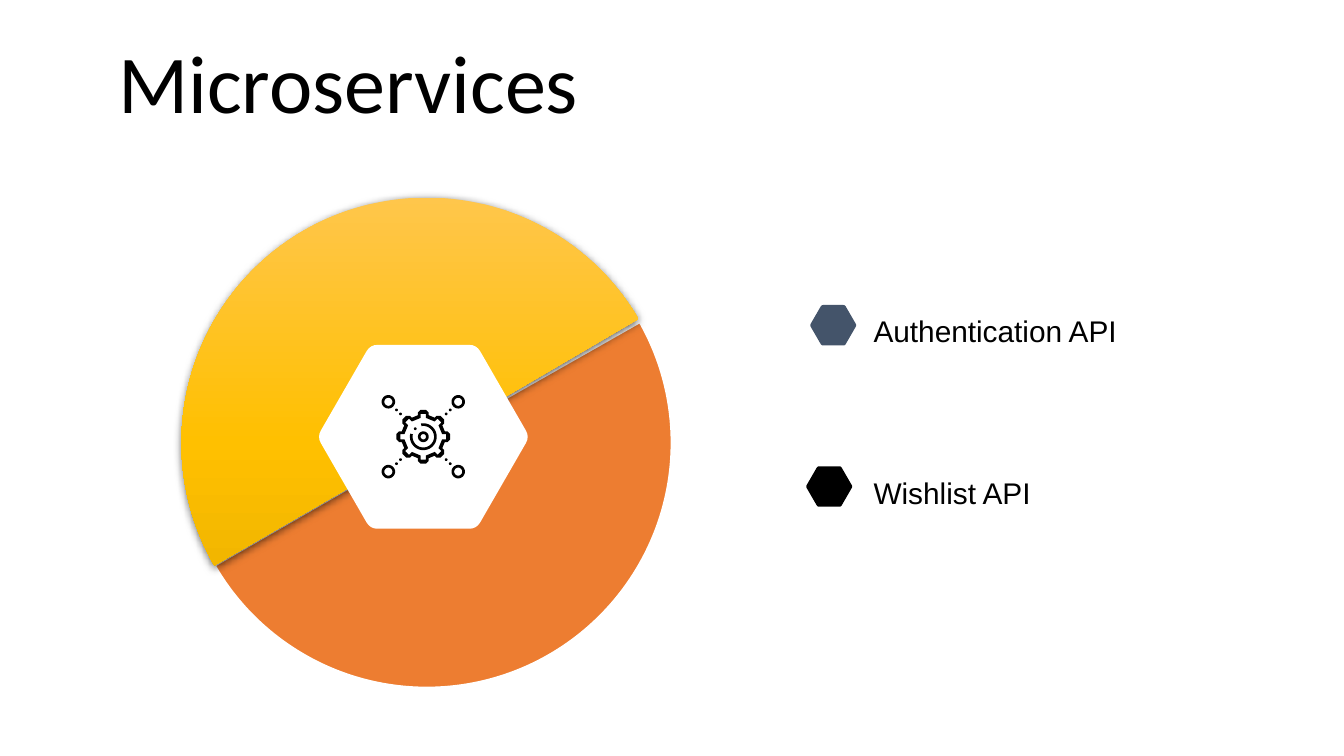
import copy
import math

import pptx
import pptx.dml.color
import pptx.enum.shapes
import pptx.oxml
import pptx.oxml.ns
import pptx.util


def colour(code):
    return pptx.dml.color.RGBColor.from_string(code)


def write(frame, text, size, font, color="000000", leading=1.0, after=0):
    para = frame.paragraphs[0]
    para.line_spacing = leading
    para.space_after = pptx.util.Pt(after)
    span = para.add_run()
    span.text = text
    span.font.size = pptx.util.Pt(size)
    span.font.name = font
    span.font.color.rgb = colour(color)


def arc(center, radius, start=0, end=360, steps=36):
    angles = [math.radians(start + (end - start) * i / steps) for i in range(steps + 1)]
    return [(center[0] + radius * math.cos(a), center[1] + radius * math.sin(a)) for a in angles]


def ring(center, outer, inner):
    return [arc(center, outer), arc(center, inner)]


def rounded_hexagon(center, radius, cut=0.07):
    corners = arc(center, radius, 30, 390, 6)[:-1]
    points = []
    for i, corner in enumerate(corners):
        before, after = corners[i - 1], corners[(i + 1) % 6]
        enter, leave = ([c + (n - c) * cut for c, n in zip(corner, near)] for near in (before, after))
        for t in (0, 0.25, 0.5, 0.75, 1):
            points.append(tuple((1 - t) ** 2 * a + 2 * t * (1 - t) * c + t * t * b
                                for a, c, b in zip(enter, corner, leave)))
    return points


def gear(center, tip, root, half, bevel, teeth=8):
    profile = [(root, -half), (tip - bevel, -half), (tip, bevel - half),
               (tip, half - bevel), (tip - bevel, half), (root, half)]
    points = []
    for tooth in range(teeth):
        turn = 2 * math.pi * tooth / teeth
        points += [(center[0] + x * math.cos(turn) - y * math.sin(turn),
                    center[1] + x * math.sin(turn) + y * math.cos(turn)) for x, y in profile]
    return points


class Page:
    """Draws styled elements on one slide, measured in square cells, ten columns wide."""

    columns = 10
    rows = columns * 9 / 16
    heading, body = "Calibri", "Arial"
    ink = "000000"

    def __init__(self, deck):
        self.cell = pptx.util.Inches(1)
        deck.slide_width = self.length(self.columns)
        deck.slide_height = self.length(self.rows)
        self.slide = deck.slides.add_slide(deck.slide_layouts[6])

    def length(self, cells):
        return pptx.util.Emu(round(cells * self.cell))

    def text(self, area, text, margins, **style):
        box = self.slide.shapes.add_textbox(*map(self.length, area))
        frame = box.text_frame
        frame.word_wrap = True
        frame.margin_left, frame.margin_top, frame.margin_right, frame.margin_bottom = map(
            self.length, margins)
        write(frame, text, **style)

    def pie(self, area, start, end):
        shape = self.slide.shapes.add_shape(pptx.enum.shapes.MSO_SHAPE.PIE, *map(self.length, area))
        shape.adjustments[0], shape.adjustments[1] = start * 0.6, end * 0.6
        shape.shadow.inherit = False
        shape.line.fill.background()
        return shape

    def gradient(self, shape, stops):
        shape.fill.gradient()
        stop_list = shape._element.spPr.find(".//" + pptx.oxml.ns.qn("a:gsLst"))
        while len(stop_list) < len(stops):
            stop_list.append(copy.deepcopy(stop_list[0]))
        for stop, (position, code) in zip(shape.fill.gradient_stops, stops):
            stop.position = position
            stop.color.rgb = colour(code)
        shape.fill.gradient_angle = 270

    def shadow(self, shape, blur, distance, opacity):
        effects = shape._element.spPr.find(pptx.oxml.ns.qn("a:effectLst"))
        effects.append(pptx.oxml.parse_xml(
            f'<a:outerShdw {pptx.oxml.ns.nsdecls("a")} blurRad="{pptx.util.Pt(blur)}" '
            f'dist="{pptx.util.Pt(distance)}" dir="5400000" algn="ctr" rotWithShape="0">'
            f'<a:srgbClr val="{self.ink}"><a:alpha val="{opacity * 1000}"/></a:srgbClr>'
            '</a:outerShdw>'))

    def outline(self, contours, fill=ink, turn=0, parent=None):
        paths = [[(self.length(x), self.length(y)) for x, y in points] for points in contours]
        builder = (parent or self.slide).shapes.build_freeform(*paths[0][0])
        builder.add_line_segments(paths[0][1:], close=True)
        for points in paths[1:]:
            builder.move_to(*points[0])
            builder.add_line_segments(points[1:], close=True)
        shape = builder.convert_to_shape()
        shape.rotation = turn
        shape.shadow.inherit = False
        shape.fill.solid()
        shape.fill.fore_color.rgb = colour(fill)
        shape.line.fill.background()

    def hexagon(self, center, radius, fill):
        self.outline([rounded_hexagon(center, radius)], fill, turn=270)

    def service_icon(self, center):
        group = self.slide.shapes.add_group_shape()
        x, y = center
        parts = [
            [gear(center, 0.2, 0.16, 0.04, 0.02), gear(center, 0.17, 0.14, 0.02, 0)],
            [arc(center, 0.1, -100, 193) + arc(center, 0.08, 193, -100)],
            ring(center, 0.04, 0.02),
            [arc((x - 0.06, y - 0.06), 0.01)],
        ]
        for across, down in ((1, -1), (1, 1), (-1, 1), (-1, -1)):
            parts.append(ring((x + 0.26 * across, y + 0.26 * down), 0.05, 0.03))
            for reach in (0.2, 0.17):
                parts.append([arc((x + reach * across, y + reach * down), 0.01)])
        for contours in parts:
            self.outline(contours, parent=group)


def main():
    deck = pptx.Presentation()
    page = Page(deck)
    page.text((0.78, 0.22, 9.32, 0.63), "Microservices", (0.1,) * 4,
              size=44, font=page.heading, leading=0.9)

    circle = (1.35, 1.47, 3.65, 3.65)
    lower = page.pie(circle, 330.4, 150)
    lower.fill.solid()
    lower.fill.fore_color.rgb = colour("ED7D31")
    lower.line.color.rgb = colour("FFFFFF")
    lower.line.width = pptx.util.Pt(1.5)
    upper = page.pie(circle, 150, 329.66)
    page.gradient(upper, [(0, "FFC64B"), (0.5, "FFC000"), (1, "E3AB00")])
    page.shadow(upper, blur=4.5, distance=1.5, opacity=63)

    hub = 0.79
    legend = [("Wishlist API", 6.17, 3.62, 1.96, "000000"),
              ("Authentication API", 6.2, 2.42, 2.46, "44546A")]
    for label, x, y, width, fill in legend:
        page.hexagon((x, y), hub * 0.22, fill)
    for label, x, y, width, fill in reversed(legend):
        page.text((6.5, y - 0.16, width, 0.31), label, (0, 0.03, 0, 0),
                  size=16, font=page.body, leading=1.15, after=16)

    page.hexagon((3.15, 3.25), hub, "FFFFFF")
    page.service_icon((3.15, 3.25))
    deck.save("out.pptx")


if __name__ == "__main__":
    main()
